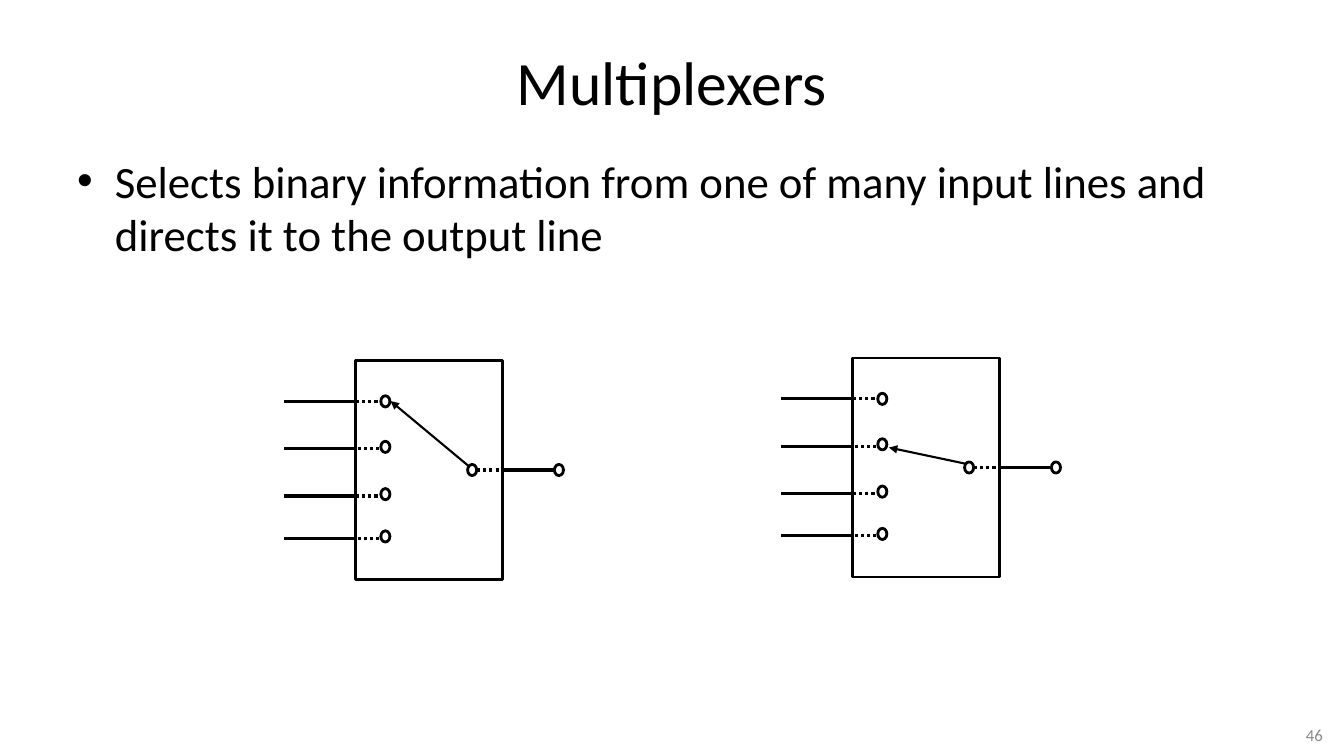
from lxml.etree import SubElement
from pptx import Presentation
from pptx.dml.color import RGBColor
from pptx.enum.dml import MSO_LINE
from pptx.enum.shapes import MSO_CONNECTOR, MSO_SHAPE
from pptx.enum.text import MSO_ANCHOR, PP_ALIGN
from pptx.oxml.ns import qn
from pptx.util import Pt

COLORS = {"ink": "000000", "paper": "FFFFFF", "muted": "898989"}
RIGHT_SIDE = 3


class SlideBuilder:
    """Holds the style and the current slide; all lengths are in points."""

    font = "Calibri"

    def __init__(self, slide):
        self.slide = slide

    def color(self, name):
        return RGBColor.from_string(COLORS[name])

    def text(self, words, left, top, width, height, size, align=PP_ALIGN.LEFT,
             anchor=MSO_ANCHOR.MIDDLE, color="ink", bullet_indent=None):
        box = self.slide.shapes.add_textbox(Pt(left), Pt(top), Pt(width), Pt(height))
        frame = box.text_frame
        frame.word_wrap = True
        frame.vertical_anchor = anchor
        frame.text = words
        paragraph = frame.paragraphs[0]
        paragraph.alignment = align
        if bullet_indent:
            properties = paragraph._p.get_or_add_pPr()
            properties.set("marL", str(Pt(bullet_indent)))
            properties.set("indent", str(-Pt(bullet_indent)))
            SubElement(properties, qn("a:buFont")).set("typeface", "Arial")
            SubElement(properties, qn("a:buChar")).set("char", "•")
        font = paragraph.runs[0].font
        font.name, font.size = self.font, Pt(size)
        font.color.rgb = self.color(color)

    def outline(self, preset, left, top, width, height):
        shape = self.slide.shapes.add_shape(
            preset, Pt(left), Pt(top), Pt(width), Pt(height))
        shape.shadow.inherit = False
        shape.fill.solid()
        shape.fill.fore_color.rgb = self.color("paper")
        shape.line.color.rgb = self.color("ink")
        shape.line.width = Pt(2)
        return shape

    def terminal(self, left, center_y):
        width, height = 6.5, 8
        self.outline(MSO_SHAPE.FLOWCHART_CONNECTOR,
                     left, center_y - height / 2, width, height)

    def line(self, x1, y1, x2, y2, width=2.25, dotted=False, arrow=False):
        wire = self.slide.shapes.add_connector(
            MSO_CONNECTOR.STRAIGHT, Pt(x1), Pt(y1), Pt(x2), Pt(y2))
        wire.line.color.rgb = self.color("ink")
        wire.line.width = Pt(width)
        if dotted:
            wire.line.dash_style = MSO_LINE.ROUND_DOT
        if arrow:
            SubElement(wire.line._get_or_add_ln(), qn("a:tailEnd")).set("type", "triangle")
        SubElement(wire._element.spPr, qn("a:effectLst"))
        return wire

    def multiplexer(self, left, top, selected_x, selected_y):
        width, height = 105, 156.5
        body = self.outline(MSO_SHAPE.RECTANGLE, left, top, width, height)

        # Input lines, each with a dotted lead to its contact
        inputs = [(29.2, 29.2), (63, 61.7), (96.8, 95.5), (127, 125.7)]
        for index, (wire_y, contact_y) in enumerate(inputs):
            y = top + wire_y
            lead_x = left + index % 2 * 1.4
            self.line(left - 51, y, left, y)
            self.line(lead_x, y, lead_x + 16, y, dotted=True)
            self.terminal(left + 18, top + contact_y)

        # Output line
        output_y = top + height / 2
        output_x = left + 142
        self.terminal(left + 80, output_y)
        self.line(left + 86.5, output_y, left + 103, output_y, dotted=True)
        output = self.line(left + width, output_y, output_x, output_y)
        output.begin_connect(body, RIGHT_SIDE)
        self.terminal(output_x, output_y)

        # Selector arm
        self.line(left + 81, top + 75.6, left + selected_x, top + selected_y,
                  width=1.5, arrow=True)


def main():
    deck = Presentation()
    deck.slide_width, deck.slide_height = Pt(960), Pt(540)
    page = SlideBuilder(deck.slides.add_slide(deck.slide_layouts[6]))

    # Title, statement and page number
    page.text("Multiplexers", 48, 21.6, 864, 72.7, 44, PP_ALIGN.CENTER)
    page.text("Selects binary information from one of many input lines and "
              "directs it to the output line",
              48, 106, 864, 396.7, 32, anchor=MSO_ANCHOR.TOP, bullet_indent=27)
    page.text("46", 849, 514, 103, 21, 12, PP_ALIGN.RIGHT, color="muted")

    # First input selected, then second input selected
    page.multiplexer(254, 257.5, 25, 29)
    page.multiplexer(609, 255.7, 26, 64)

    deck.save("out.pptx")


if __name__ == "__main__":
    main()
